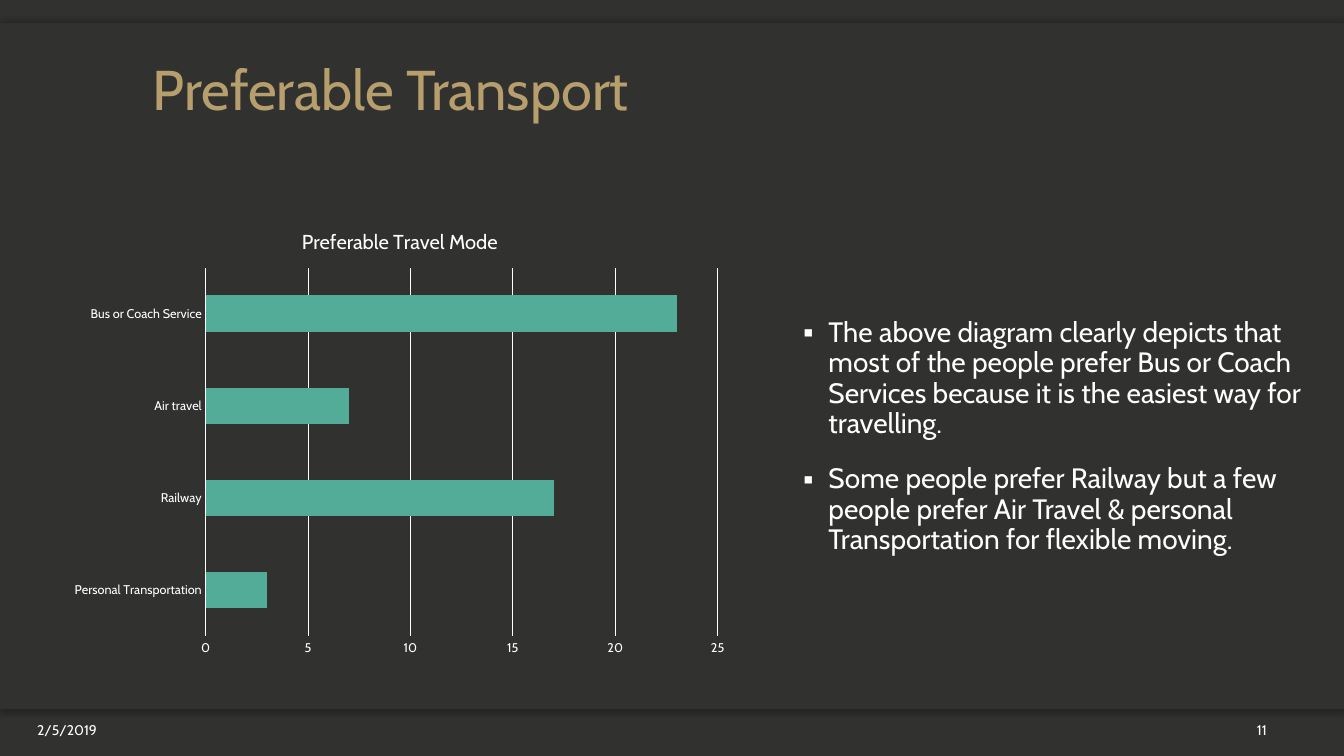
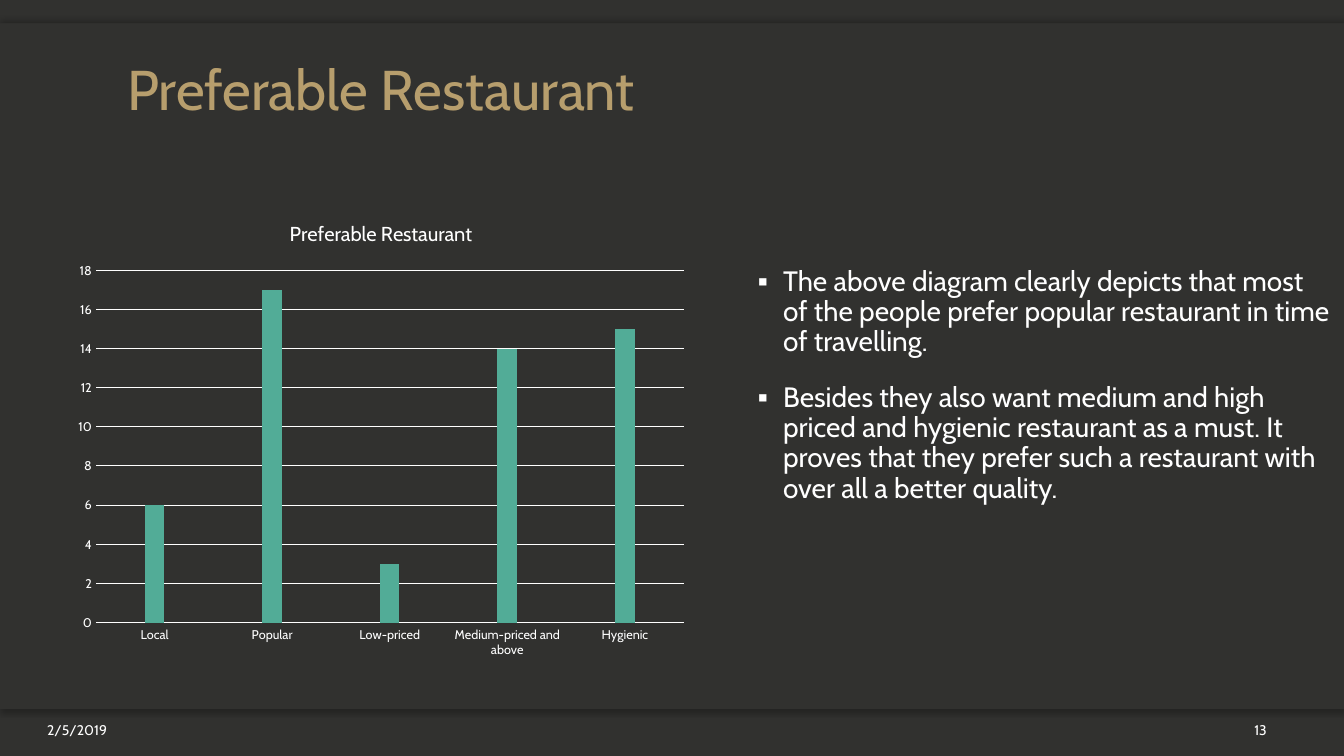
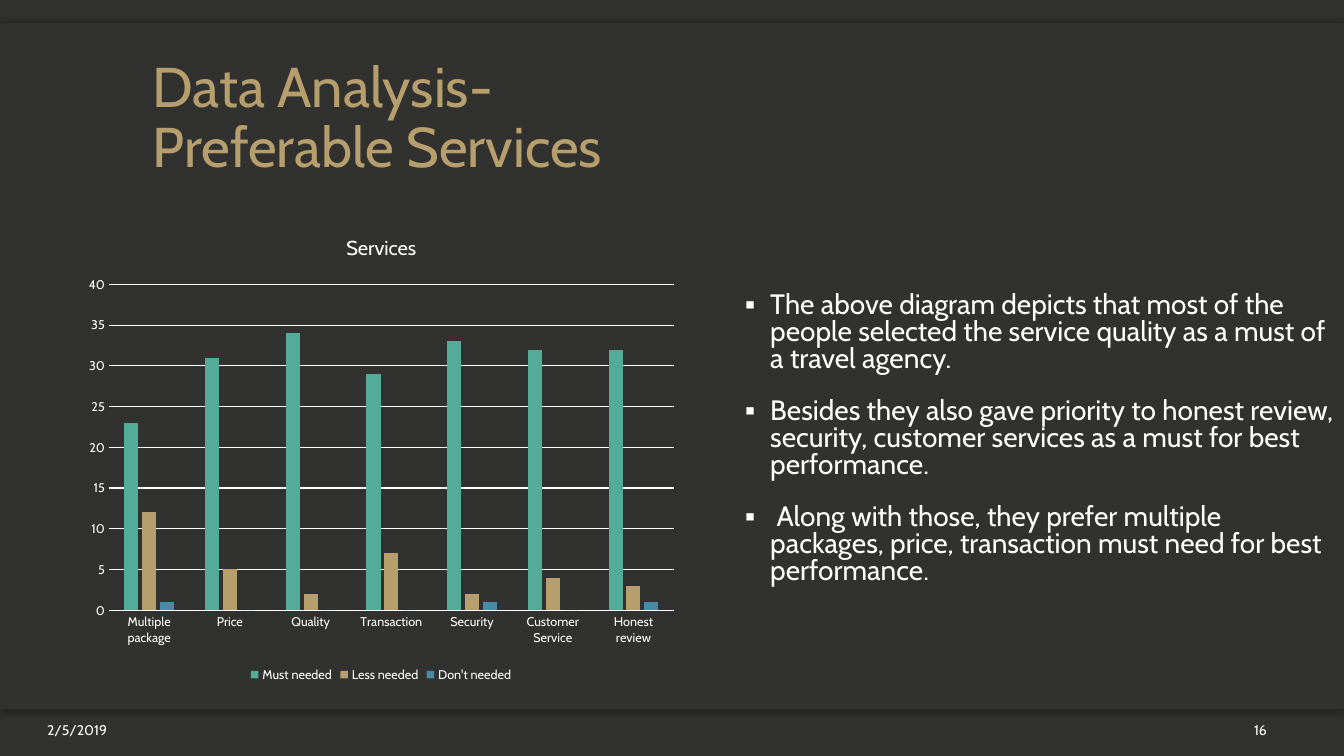
from dataclasses import dataclass

from lxml import etree
from pptx import Presentation
from pptx.chart.data import CategoryChartData
from pptx.dml.color import RGBColor
from pptx.enum.chart import XL_CHART_TYPE, XL_LEGEND_POSITION, XL_TICK_MARK
from pptx.enum.shapes import MSO_SHAPE
from pptx.enum.text import MSO_ANCHOR, PP_ALIGN
from pptx.oxml.ns import qn
from pptx.util import Inches, Pt

STACKED_BARS = XL_CHART_TYPE.BAR_STACKED
COLUMNS = XL_CHART_TYPE.COLUMN_CLUSTERED
NO_TICK = XL_TICK_MARK.NONE
LEGEND_BOTTOM = XL_LEGEND_POSITION.BOTTOM
RECTANGLE = MSO_SHAPE.RECTANGLE
TOP, MIDDLE, BOTTOM = MSO_ANCHOR.TOP, MSO_ANCHOR.MIDDLE, MSO_ANCHOR.BOTTOM
LEFT, RIGHT = PP_ALIGN.LEFT, PP_ALIGN.RIGHT

SLIDE_WIDTH, SLIDE_HEIGHT = Inches(13.33), Inches(7.5)
BLANK_LAYOUT = 6


@dataclass(frozen=True)
class Theme:
    font: str = "Cabin"
    background: str = "31312F"
    text: str = "FFFFFF"
    title: str = "B79E6D"
    shadow: str = "000000"
    series: tuple = ("52AC97", "B79E6D", "478BA9")
    title_size: float = 40
    body_size: float = 20
    chart_title_size: float = 14.4
    footer_size: float = 10
    axis_size: float = 9
    grid_width: float = 0.75


THEME = Theme()

# Shares of the slide, in percent
PANEL_TOP, PANEL_HEIGHT, BAND_HEIGHT = 3.1, 90.67, 6.5
FOOTER_TOP, FOOTER_HEIGHT = 94.53, 4


def area(left, top, width, height):
    """Turn percentages of the slide into lengths."""
    return (int(SLIDE_WIDTH * left / 100), int(SLIDE_HEIGHT * top / 100),
            int(SLIDE_WIDTH * width / 100), int(SLIDE_HEIGHT * height / 100))


def style_font(font, size, color=THEME.text):
    font.name = THEME.font
    font.size = Pt(size)
    font.bold = False
    font.color.rgb = RGBColor.from_string(color)


def add_bullet(para):
    properties = para._p.get_or_add_pPr()
    properties.set("marL", str(Inches(0.25)))
    properties.set("indent", str(-Inches(0.25)))
    etree.SubElement(properties, qn("a:buSzPct"), val="90000")
    etree.SubElement(properties, qn("a:buFont"), typeface=THEME.font)
    etree.SubElement(properties, qn("a:buChar"), char="▪")


def add_text(page, place, *texts, size, color=THEME.text, anchor=TOP,
             align=LEFT, line_spacing=1.0, space_before=0, bullet=False):
    """Add a text box with one paragraph for each text."""
    frame = page.shapes.add_textbox(*area(*place)).text_frame
    frame.word_wrap = True
    frame.vertical_anchor = anchor
    for index, text in enumerate(texts):
        para = frame.add_paragraph() if index else frame.paragraphs[0]
        para.text = text
        para.alignment = align
        para.line_spacing = line_spacing
        para.space_before = Pt(space_before)
        if bullet:
            add_bullet(para)
        for span in para.runs:
            style_font(span.font, size, color)


def add_band(page, top, height, shadow_angle=None):
    band = page.shapes.add_shape(RECTANGLE, *area(0, top, 100, height))
    band.fill.solid()
    band.fill.fore_color.rgb = RGBColor.from_string(THEME.background)
    band.line.fill.background()
    band.shadow.inherit = False
    if shadow_angle is not None:
        effects = band._element.spPr.find(qn("a:effectLst"))
        shadow = etree.SubElement(
            effects, qn("a:outerShdw"), blurRad=str(Pt(4)), dist=str(Pt(2)),
            dir=str(shadow_angle * 60000), rotWithShape="0")
        color = etree.SubElement(shadow, qn("a:srgbClr"), val=THEME.shadow)
        etree.SubElement(color, qn("a:alpha"), val="25000")


def set_layout(element, index, **shares):
    """Place a chart part by percentages of the chart's size."""
    for old in element.findall(qn("c:layout")):
        element.remove(old)
    layout = etree.Element(qn("c:layout"))
    manual = etree.SubElement(layout, qn("c:manualLayout"))
    if "w" in shares:
        etree.SubElement(manual, qn("c:layoutTarget"), val="inner")
    for mode in ("xMode", "yMode"):
        etree.SubElement(manual, qn(f"c:{mode}"), val="edge")
    for name, share in shares.items():
        etree.SubElement(manual, qn(f"c:{name}"), val=f"{share / 100:.4f}")
    element.insert(index, layout)


def style_axes(chart, maximum, step):
    categories, values = chart.category_axis, chart.value_axis
    for axis in (categories, values):
        axis.major_tick_mark = axis.minor_tick_mark = NO_TICK
        style_font(axis.tick_labels.font, THEME.axis_size)
    values.minimum_scale, values.maximum_scale = 0, maximum
    values.major_unit = step
    values.has_major_gridlines = True
    values.format.line.fill.background()
    for line in (categories.format.line, values.major_gridlines.format.line):
        line.color.rgb = RGBColor.from_string(THEME.text)
        line.width = Pt(THEME.grid_width)


def one_filled_series(*values):
    """Give three series of which only the first has values."""
    blank = (None,) * len(values)
    return {"Series 1": values, "Series 2": blank, "Series 3": blank}


def add_chart(page, place, kind, title, categories, series, *, maximum, step,
              gap, overlap, title_left, plot, legend=False):
    data = CategoryChartData()
    data.categories = categories
    for name, values in series.items():
        data.add_series(name, values)
    chart = page.shapes.add_chart(kind, *area(*place), data).chart
    style_font(chart.font, THEME.footer_size)

    chart.has_title = True
    heading = chart.chart_title
    heading.include_in_layout = False
    heading.text_frame.text = title
    style_font(heading.text_frame.paragraphs[0].runs[0].font,
               THEME.chart_title_size)
    set_layout(heading._element, 1, x=title_left, y=3)
    set_layout(chart._chartSpace.chart.plotArea, 0,
               **dict(zip("xywh", plot)))

    style_axes(chart, maximum, step)
    bars = chart.plots[0]
    bars.vary_by_categories = False
    bars.gap_width, bars.overlap = gap, overlap
    for one, color in zip(bars.series, THEME.series):
        one.format.fill.solid()
        one.format.fill.fore_color.rgb = RGBColor.from_string(color)

    chart.has_legend = legend
    if legend:
        chart.legend.position = LEGEND_BOTTOM
        chart.legend.include_in_layout = False
        style_font(chart.legend.font, THEME.axis_size)


def add_page(deck, title, title_place, number, date_right=8.7):
    """Add a slide with the shared bands, its title and its footer."""
    page = deck.slides.add_slide(deck.slide_layouts[BLANK_LAYOUT])
    add_band(page, PANEL_TOP + PANEL_HEIGHT - BAND_HEIGHT, BAND_HEIGHT, 90)
    add_band(page, PANEL_TOP, BAND_HEIGHT, 270)
    add_band(page, PANEL_TOP, PANEL_HEIGHT)
    add_text(page, title_place, title, size=THEME.title_size,
             color=THEME.title, anchor=BOTTOM, line_spacing=0.9)
    for left, width, text in ((0, date_right, "2/5/2019"),
                              (89.4, 5.6, number)):
        add_text(page, (left, FOOTER_TOP, width, FOOTER_HEIGHT), text,
                 size=THEME.footer_size, anchor=MIDDLE, align=RIGHT)
    return page


def add_findings(page, place, *findings, line_spacing=0.9):
    add_text(page, place, *findings, size=THEME.body_size, bullet=True,
             line_spacing=line_spacing, space_before=18)


def add_transport(deck):
    page = add_page(deck, "Preferable Transport", (10.62, 4.67, 78.75, 12.27),
                    "11", date_right=7.95)
    add_findings(
        page, (59.03, 41.47, 39.38, 42),
        "The above diagram clearly depicts that most of the people prefer "
        "Bus or Coach Services because it is the easiest way for travelling.",
        "Some people prefer Railway but a few people prefer Air Travel & "
        "personal Transportation for flexible moving.")
    add_chart(
        page, (4.58, 27.87, 50.33, 60.13), STACKED_BARS,
        "Preferable Travel Mode",
        ("Personal Transportation", "Railway", "Air travel",
         "Bus or Coach Service"),
        one_filled_series(3, 17, 7, 23),
        maximum=25, step=5, gap=150, overlap=100,
        title_left=35, plot=(21.3, 12.6, 75.7, 81))


def add_restaurant(deck):
    page = add_page(deck, "Preferable Restaurant", (8.73, 6.4, 78.75, 10.53),
                    "13")
    add_findings(
        page, (55.65, 34.7, 44.35, 36.67),
        "The above diagram clearly depicts that most of the people prefer "
        "popular restaurant in time of travelling.",
        "Besides they also want medium and high priced and hygienic "
        "restaurant as a must. It proves that they prefer such a restaurant "
        "with over all a better quality.")
    add_chart(
        page, (4.88, 26.8, 46.88, 61.33), COLUMNS, "Preferable Restaurant",
        ("Local", "Popular", "Low-priced", "Medium-priced and above",
         "Hygienic"),
        one_filled_series(6, 17, 3, 14, 15),
        maximum=18, step=2, gap=500, overlap=100,
        title_left=35, plot=(4.8, 14.6, 93.3, 76))


def add_services(deck):
    page = add_page(deck, "Data Analysis-\nPreferable Services",
                    (10.62, 7.37, 78.75, 17.07), "16")
    add_findings(
        page, (54.7, 38.13, 45.3, 43.2),
        "The above diagram depicts that most of the people selected the "
        "service quality as a must of a travel agency.",
        "Besides they also gave priority to honest review, security, "
        "customer services as a must for best performance.",
        " Along with those, they prefer multiple packages, price, "
        "transaction must need for best performance.",
        line_spacing=0.8)
    add_chart(
        page, (5.7, 28.67, 45.3, 62.13), COLUMNS, "Services",
        ("Multiple package", "Price", "Quality", "Transaction", "Security",
         "Customer Service", "Honest review"),
        {"Must needed": (23, 31, 34, 29, 33, 32, 32),
         "Less needed": (12, 5, 2, 7, 2, 4, 3),
         "Don't needed": (1, 0, 0, 0, 1, 0, 1)},
        maximum=40, step=5, gap=219, overlap=-27,
        title_left=43.7, plot=(5.3, 14.4, 92.8, 69.4), legend=True)


def main():
    deck = Presentation()
    deck.slide_width, deck.slide_height = SLIDE_WIDTH, SLIDE_HEIGHT
    backdrop = deck.slide_master.background.fill
    backdrop.solid()
    backdrop.fore_color.rgb = RGBColor.from_string(THEME.background)
    add_transport(deck)
    add_restaurant(deck)
    add_services(deck)
    deck.save("out.pptx")


if __name__ == "__main__":
    main()
